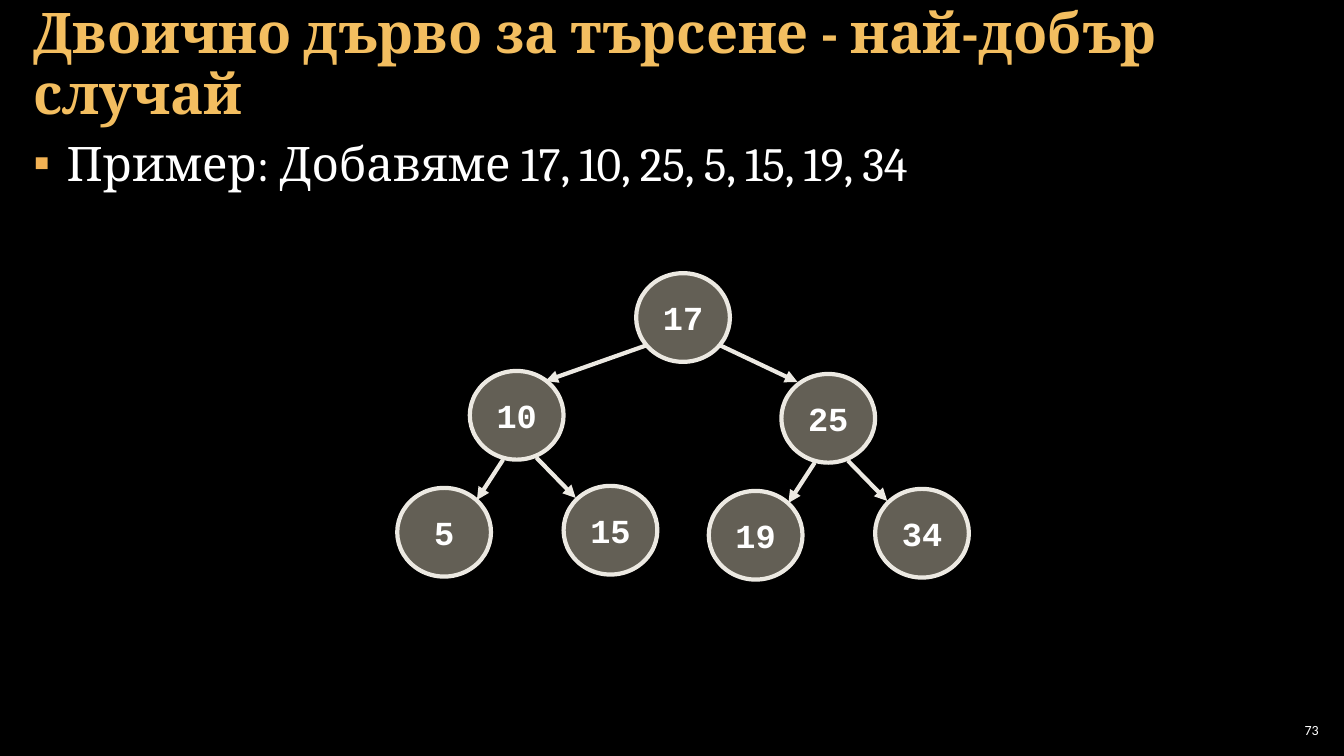
from lxml import etree
from pptx import Presentation
from pptx.dml.color import RGBColor
from pptx.enum import shapes, text
from pptx.oxml.ns import qn
from pptx.util import Inches, Pt

BLACK = RGBColor(0x00, 0x00, 0x00)
WHITE = RGBColor(0xFF, 0xFF, 0xFF)
GOLD = RGBColor(0xF3, 0xBE, 0x60)
BULLET_GOLD = RGBColor(0xF2, 0xB2, 0x54)
NODE_FILL = RGBColor(0xC6, 0xBE, 0xAB)
OUTLINE = RGBColor(0xEC, 0xE9, 0xE2)

NODE_WIDTH, NODE_HEIGHT = 0.93, 0.88
LEFT_CHILD = (-0.72, 1.16)
RIGHT_CHILD = (0.93, 1.14)
LEFT_ARROW = ((0.33, 0.88), (0.07, 1.28))
RIGHT_ARROW = ((0.66, 0.86), (1.05, 1.26))


def place(shape, left, top, width, height):
    shape.left, shape.top = Inches(left), Inches(top)
    shape.width, shape.height = Inches(width), Inches(height)


def set_frame(frame, horizontal, vertical, anchor):
    frame.word_wrap = True
    frame.auto_size = text.MSO_AUTO_SIZE.NONE
    frame.vertical_anchor = anchor
    frame.margin_left = frame.margin_right = Inches(horizontal)
    frame.margin_top = frame.margin_bottom = Inches(vertical)


def write(frame, words, font_name, size, color, alignment, bold=False):
    frame.text = words
    paragraph = frame.paragraphs[0]
    paragraph.alignment = alignment
    paragraph.space_before = Pt(0)
    font = paragraph.runs[0].font
    font.name, font.size, font.bold = font_name, Pt(size), bold
    font.color.rgb = color
    return paragraph


def add_bullet(paragraph, symbol, color, indent):
    properties = paragraph._p.get_or_add_pPr()
    properties.set("marL", str(Inches(indent)))
    properties.set("indent", str(-Inches(indent)))
    bullet_color = etree.SubElement(properties, qn("a:buClr"))
    etree.SubElement(bullet_color, qn("a:srgbClr"), val=str(color))
    etree.SubElement(properties, qn("a:buChar"), char=symbol)


def fill_title(title):
    place(title, 0.21, 0.05, 12.91, 1.21)
    set_frame(title.text_frame, 0.12, 0.04, text.MSO_ANCHOR.MIDDLE)
    paragraph = write(title.text_frame, "Двоично дърво за търсене - най-добър случай",
                      "Cambria", 40, GOLD, text.PP_ALIGN.LEFT, True)
    paragraph.line_spacing = 0.9


def fill_body(body):
    place(body, 0.21, 1.26, 12.91, 6.09)
    set_frame(body.text_frame, 0.12, 0.04, text.MSO_ANCHOR.TOP)
    paragraph = write(body.text_frame, "Пример: Добавяме 17, 10, 25, 5, 15, 19, 34",
                      "Cambria", 34, WHITE, text.PP_ALIGN.LEFT)
    paragraph.line_spacing = 1.05
    add_bullet(paragraph, "▪", BULLET_GOLD, 0.33)


def add_node(slide, value, left, top):
    node = slide.shapes.add_shape(shapes.MSO_SHAPE.OVAL, Inches(left), Inches(top),
                                  Inches(NODE_WIDTH), Inches(NODE_HEIGHT))
    node.shadow.inherit = False
    node.fill.solid()
    node.fill.fore_color.rgb = NODE_FILL
    fill_color = node._element.spPr.find(qn("a:solidFill")).find(qn("a:srgbClr"))
    etree.SubElement(fill_color, qn("a:alpha"), val="50000")
    node.line.color.rgb = OUTLINE
    node.line.width = Pt(3)
    set_frame(node.text_frame, 0.1, 0.05, text.MSO_ANCHOR.MIDDLE)
    write(node.text_frame, str(value), "Courier New", 24, WHITE, text.PP_ALIGN.CENTER, True)


def add_arrow(slide, start, end):
    arrow = slide.shapes.add_connector(shapes.MSO_CONNECTOR.STRAIGHT,
                                       *(Inches(length) for length in (*start, *end)))
    arrow.line.color.rgb = OUTLINE
    arrow.line.width = Pt(3)
    etree.SubElement(arrow.line._get_or_add_ln(), qn("a:tailEnd"), type="triangle")
    etree.SubElement(arrow._element.spPr, qn("a:effectLst"))


def add_subtree(slide, parent, children, left, top):
    add_node(slide, parent, left, top)
    branches = zip(children, (LEFT_CHILD, RIGHT_CHILD), (LEFT_ARROW, RIGHT_ARROW))
    for value, (across, down), arrow in branches:
        add_node(slide, value, left + across, top + down)
        add_arrow(slide, *((left + x, top + y) for x, y in arrow))


def add_slide_number(slide, number):
    box = slide.shapes.add_textbox(Inches(12.65), Inches(7.14), Inches(0.47), Inches(0.21))
    set_frame(box.text_frame, 0.04, 0.04, text.MSO_ANCHOR.MIDDLE)
    write(box.text_frame, str(number), "Calibri", 10, WHITE, text.PP_ALIGN.RIGHT)


def main():
    presentation = Presentation()
    presentation.slide_width, presentation.slide_height = Inches(13.33), Inches(7.5)
    slide = presentation.slides.add_slide(presentation.slide_layouts[1])
    slide.background.fill.solid()
    slide.background.fill.fore_color.rgb = BLACK

    fill_title(slide.shapes.title)
    fill_body(slide.placeholders[1])
    add_node(slide, 17, 6.31, 2.71)
    add_subtree(slide, 10, (5, 15), 4.66, 3.68)
    add_subtree(slide, 25, (19, 34), 7.75, 3.71)
    add_arrow(slide, (6.4, 3.43), (5.41, 3.78))
    add_arrow(slide, (7.15, 3.43), (7.91, 3.79))
    add_slide_number(slide, 73)
    presentation.save("out.pptx")


if __name__ == "__main__":
    main()
